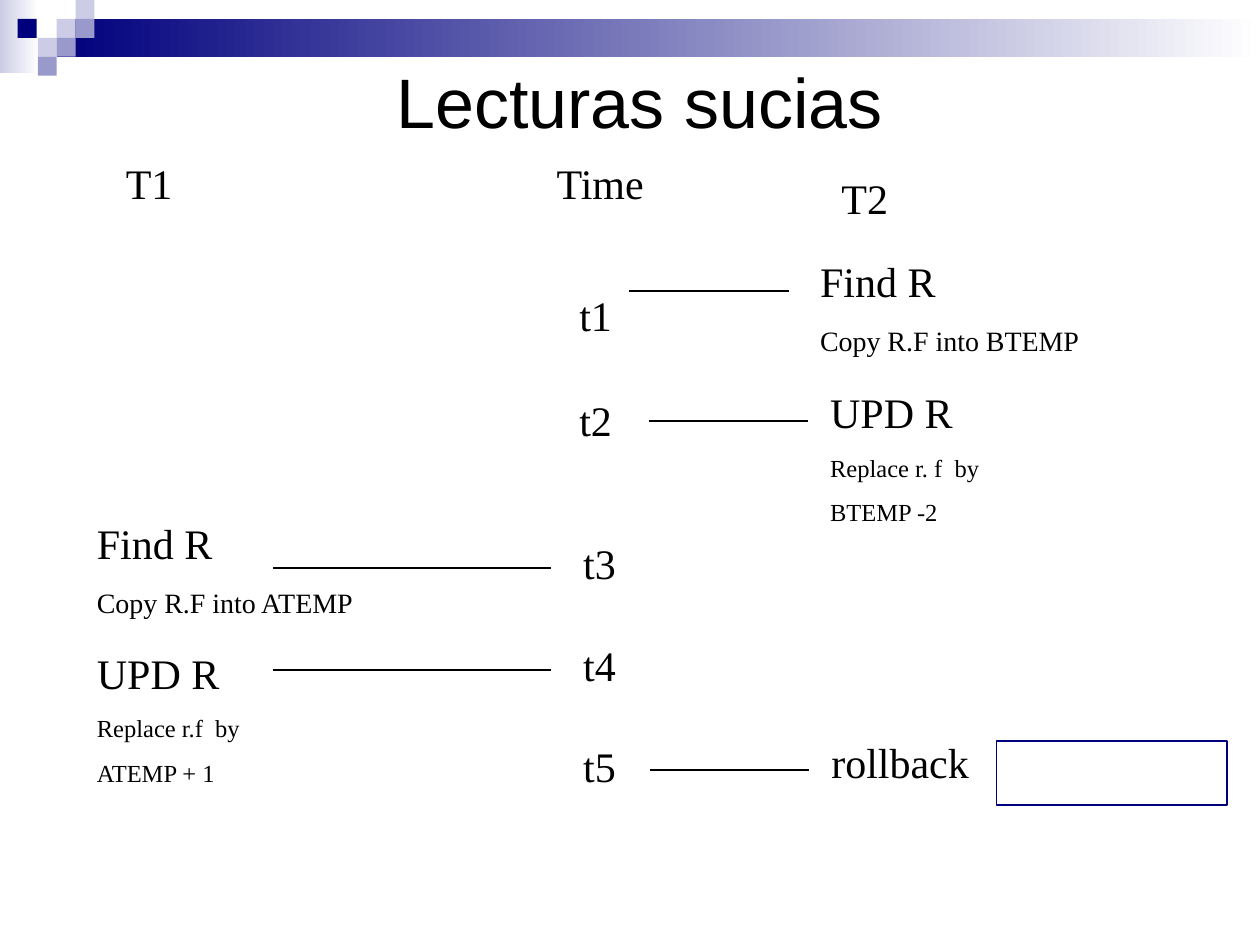
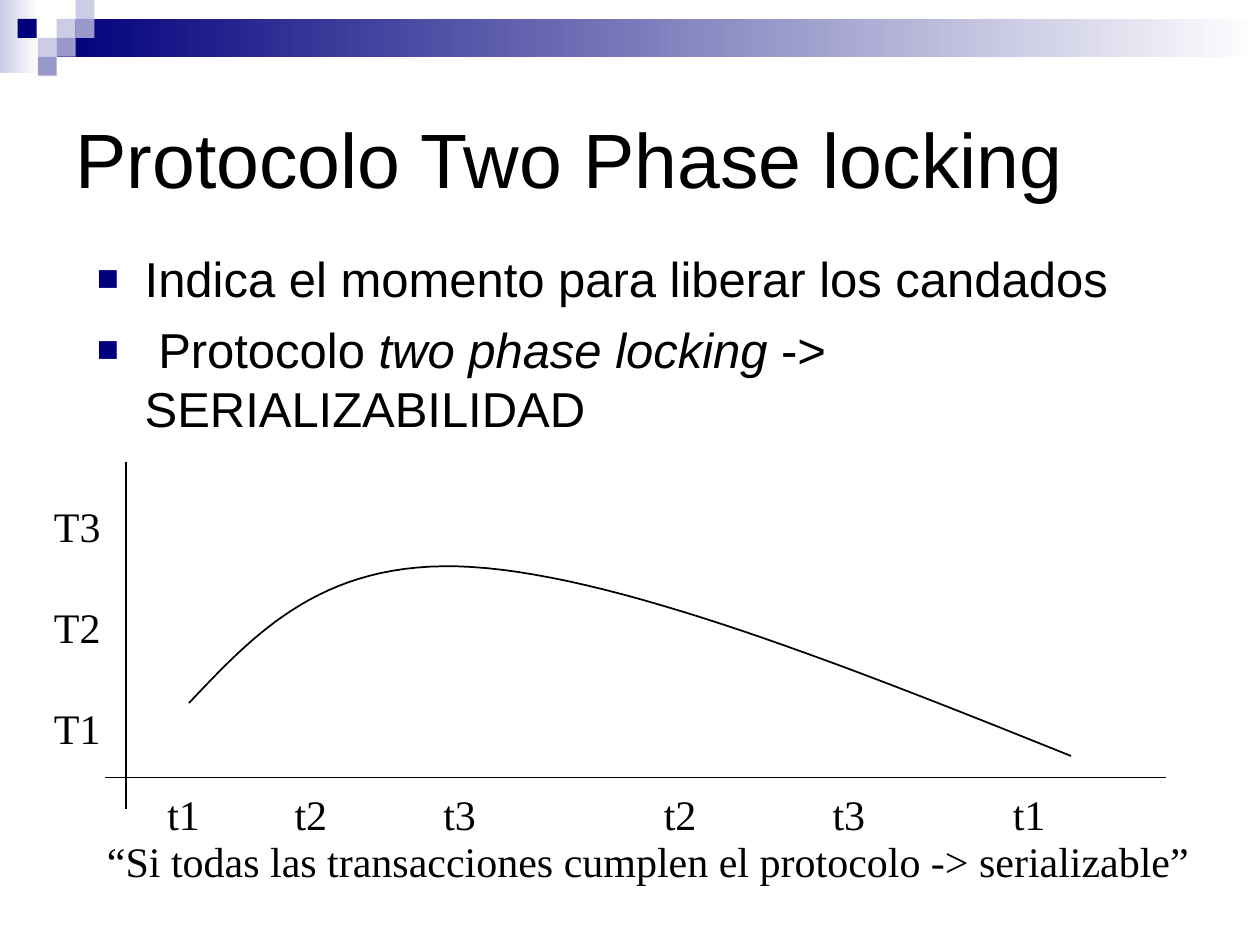
from dataclasses import dataclass

from lxml import etree
from pptx import Presentation
from pptx.dml.color import RGBColor
from pptx.enum import shapes, text
from pptx.oxml.ns import qn
from pptx.util import Inches, Pt


@dataclass(frozen=True)
class Theme:
    navy: RGBColor = RGBColor(0x00, 0x00, 0x7D)
    violet: RGBColor = RGBColor(0x99, 0x99, 0xCC)
    lilac: RGBColor = RGBColor(0xCC, 0xCC, 0xE6)
    white: RGBColor = RGBColor(0xFF, 0xFF, 0xFF)
    black: RGBColor = RGBColor(0x00, 0x00, 0x00)
    sans: str = "Arial"
    serif: str = "Times New Roman"
    label: int = 24
    copy_step: int = 16
    update_step: int = 14
    bullet: int = 28
    line: int = 1


theme = Theme()


def write(frame, *lines, font=theme.serif, size=theme.label, detail=None, before=0,
          align=text.PP_ALIGN.LEFT, anchor=text.MSO_ANCHOR.TOP, wrap=False):
    """Fill a frame; lines after the first use the detail size, *stars* mark italics."""
    frame.word_wrap = wrap
    frame.auto_size = text.MSO_AUTO_SIZE.NONE
    frame.vertical_anchor = anchor
    for number, line in enumerate(lines):
        paragraph = frame.add_paragraph() if number else frame.paragraphs[0]
        paragraph.alignment = align
        if number:
            paragraph.space_before = Pt(before)
        for part, words in enumerate(line.split("*")):
            run = paragraph.add_run()
            run.text = words
            run.font.name = font
            run.font.size = Pt(detail if number and detail else size)
            run.font.color.rgb = theme.black
            run.font.italic = part % 2 == 1
    return frame


def draw_line(slide, *ends):
    line = slide.shapes.add_connector(shapes.MSO_CONNECTOR.STRAIGHT, *map(Inches, ends))
    line.line.color.rgb = theme.black
    line.line.width = Pt(theme.line)
    etree.SubElement(line._element.spPr, qn("a:effectLst"))


deck = Presentation()
deck.slide_width, deck.slide_height = Inches(10), Inches(7.5)

# Titles and the checkered band that every slide carries
cell = 0.15
band = [
    (0, 0, 0.31, 0.58, (theme.lilac, theme.white)),
    (0.45, 0.15, 9.55, 0.3, (theme.navy, theme.white)),
]
band += [(x, y, cell, cell, (colour,)) for x, y, colour in [
    (0.45, 0.15, theme.lilac), (0.6, 0, theme.lilac), (0.6, 0.15, theme.violet),
    (0.3, 0.3, theme.lilac), (0.14, 0.15, theme.navy), (0.45, 0.3, theme.violet),
    (0.3, 0.45, theme.violet)]]
titles = [
    ("Lecturas sucias", (-0.2, 0.16, 10.55, 1.28), 40, text.PP_ALIGN.CENTER),
    ("Protocolo Two Phase locking", (0.5, 0.5, 9, 1.5), 44, text.PP_ALIGN.LEFT),
]
for words, place, size, align in titles:
    slide = deck.slides.add_slide(deck.slide_layouts[5])
    for *box, colours in band:
        block = slide.shapes.add_shape(shapes.MSO_SHAPE.RECTANGLE, *map(Inches, box))
        block.shadow.inherit = False
        block.line.fill.background()
        if len(colours) == 1:
            block.fill.solid()
            block.fill.fore_color.rgb = colours[0]
        else:
            block.fill.gradient()
            block.fill.gradient_angle = 0
            for stop, colour, position in zip(block.fill.gradient_stops, colours, (0, 1)):
                stop.color.rgb = colour
                stop.position = position
    title = slide.shapes.title
    title.left, title.top, title.width, title.height = map(Inches, place)
    write(title.text_frame, words, font=theme.sans, size=size, align=align,
          anchor=text.MSO_ANCHOR.MIDDLE, wrap=True)

dirty_reads, two_phase = deck.slides

# Dirty reads: headings, moments and the steps of each transaction
moment_gap = 29
copying = dict(detail=theme.copy_step, before=10, wrap=True)
updating = dict(detail=theme.update_step, before=8.8, wrap=True)
schedule = [
    ((0.9, 1.2, 0.57, 0.5), ["T1"], {}),
    ((4.32, 1.2, 0.9, 0.5), ["Time"], {}),
    ((6.58, 1.32, 0.6, 0.5), ["T2"], {}),
    ((4.5, 2.25, 0.46, 0.5), ["t1"], {}),
    ((4.5, 3.08, 0.46, 0.5), ["t2"], {}),
    ((4.53, 4.22, 0.46, 2.1), ["t3", "t4", "t5"], dict(before=moment_gap)),
    ((6.41, 1.98, 2.42, 0.91), ["Find R", "Copy R.F into BTEMP"], copying),
    ((6.49, 3.02, 1.67, 1.21), ["UPD R", "Replace r. f  by", "BTEMP -2"], updating),
    ((0.67, 4.06, 2.42, 0.91), ["Find R", "Copy R.F into ATEMP"], copying),
    ((0.67, 5.09, 2.42, 1.21), ["UPD R", "Replace r.f  by", "ATEMP + 1"], updating),
    ((6.5, 5.8, 1.67, 0.5), ["rollback"], dict(wrap=True)),
]
for place, lines, style in schedule:
    step = dirty_reads.shapes.add_textbox(*map(Inches, place))
    write(step.text_frame, *lines, **style)

for left, right, y in [(4.99, 6.26, 2.31), (5.15, 6.41, 3.34), (2.17, 4.37, 4.51),
                       (2.17, 4.37, 5.32), (5.16, 6.42, 6.11)]:
    draw_line(dirty_reads, left, y, right, y)

rollback_frame = dirty_reads.shapes.add_shape(
    shapes.MSO_SHAPE.RECTANGLE, Inches(7.91), Inches(5.88), Inches(1.83), Inches(0.51))
rollback_frame.shadow.inherit = False
rollback_frame.fill.background()
rollback_frame.line.color.rgb = theme.navy
rollback_frame.line.width = Pt(theme.line)

# Two phase locking: bullets
points = two_phase.shapes.add_textbox(Inches(0.67), Inches(1.92), Inches(8.92), Inches(1.7))
write(points.text_frame, "Indica el momento para liberar los candados",
      " Protocolo *two phase locking* -> SERIALIZABILIDAD",
      font=theme.sans, size=theme.bullet, before=7, wrap=True)
for point in points.text_frame.paragraphs:
    properties = point._p.get_or_add_pPr()
    properties.set("marL", str(Inches(0.38)))
    properties.set("indent", str(Inches(-0.38)))
    bullet_colour = etree.SubElement(properties, qn("a:buClr"))
    etree.SubElement(bullet_colour, qn("a:srgbClr"), val=str(theme.navy))
    etree.SubElement(properties, qn("a:buSzPct"), val="75000")
    etree.SubElement(properties, qn("a:buFont"), typeface=theme.sans)
    etree.SubElement(properties, qn("a:buChar"), char="■")

# Locks held over time: growing phase, then shrinking phase
phases = [
    [(1.5, 5.58), (2.04, 5.01), (2.58, 4.43), (3.74, 4.5)],
    [(3.74, 4.5), (4.91, 4.57), (6.71, 5.28), (8.5, 6)],
]
pieces = 30
curve = []
for controls in phases:
    for piece in range(1, pieces + 1):
        t = piece / pieces
        weights = ((1 - t) ** 3, 3 * t * (1 - t) ** 2, 3 * t ** 2 * (1 - t), t ** 3)
        curve.append(tuple(Inches(sum(w * v for w, v in zip(weights, axis)))
                           for axis in zip(*controls)))
builder = two_phase.shapes.build_freeform(*map(Inches, phases[0][0]))
builder.add_line_segments(curve, close=False)
locks = builder.convert_to_shape()
locks.shadow.inherit = False
locks.fill.background()
locks.line.color.rgb = theme.black
locks.line.width = Pt(theme.line)

draw_line(two_phase, 1, 3.67, 1, 6.42)
draw_line(two_phase, 0.83, 6.17, 9.25, 6.17)

transactions = two_phase.shapes.add_textbox(
    Inches(0.33), Inches(3.92), Inches(0.57), Inches(2.1))
write(transactions.text_frame, "T3", "T2", "T1", before=moment_gap)

moments = two_phase.shapes.add_textbox(Inches(1.23), Inches(6.21), Inches(7.4), Inches(0.5))
write(moments.text_frame, "t1\tt2\tt3\tt2\tt3\tt1", wrap=True)
tabs = etree.SubElement(moments.text_frame.paragraphs[0]._p.get_or_add_pPr(), qn("a:tabLst"))
for stop in (1.01, 2.19, 3.94, 5.28, 6.71):
    etree.SubElement(tabs, qn("a:tab"), pos=str(Inches(stop)), algn="l")

conclusion = two_phase.shapes.add_textbox(Inches(0.75), Inches(6.58), Inches(8.79), Inches(0.5))
write(conclusion.text_frame, "“Si todas las transacciones cumplen el protocolo -> serializable”")

deck.save("out.pptx")
